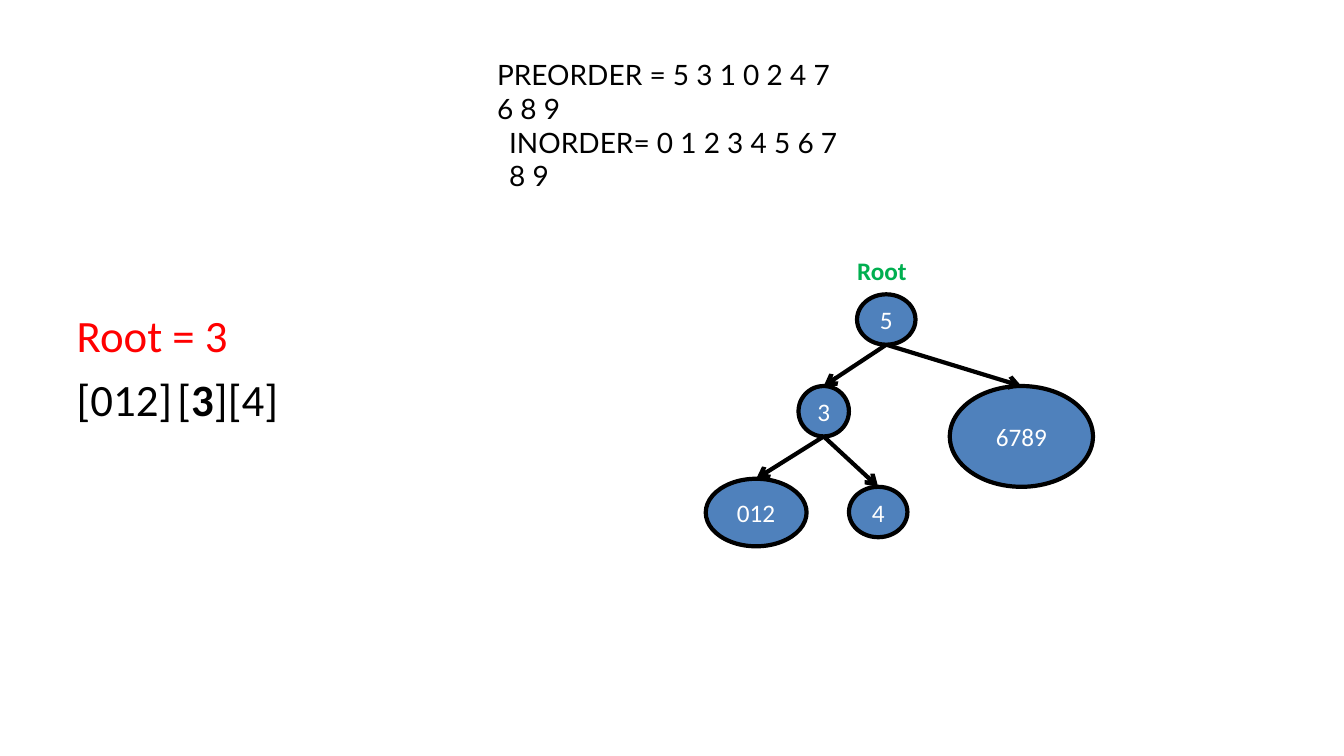
from lxml.etree import SubElement
from pptx import Presentation
from pptx.dml.color import RGBColor
from pptx.enum.shapes import MSO_CONNECTOR, MSO_SHAPE
from pptx.enum.text import MSO_ANCHOR, MSO_AUTO_SIZE, PP_ALIGN
from pptx.oxml.ns import qn
from pptx.util import Inches, Pt

BLACK = RGBColor(0x00, 0x00, 0x00)
WHITE = RGBColor(0xFF, 0xFF, 0xFF)
RED = RGBColor(0xFF, 0x00, 0x00)
GREEN = RGBColor(0x00, 0xAF, 0x50)
BLUE = RGBColor(0x4F, 0x81, 0xBC)


def set_frame(frame, wrap, anchor, top=0, right=0):
    frame.auto_size = MSO_AUTO_SIZE.NONE
    frame.word_wrap = wrap
    frame.vertical_anchor = anchor
    frame.margin_left = frame.margin_bottom = 0
    frame.margin_top = Inches(top)
    frame.margin_right = Inches(right)


def style(para, size, color, font="Calibri", bold=False, align=PP_ALIGN.LEFT):
    para.alignment = align
    para.line_spacing = 1.0
    para.font.name = font
    para.font.size = Pt(size)
    para.font.bold = bold
    para.font.color.rgb = color


deck = Presentation()
deck.slide_width = Inches(13.33)
deck.slide_height = Inches(7.5)
page = deck.slides.add_slide(deck.slide_layouts[1])

title = page.shapes.title
title.left, title.top = Inches(4.92), Inches(0.89)
title.width, title.height = Inches(3.5), Inches(0.69)
set_frame(title.text_frame, True, MSO_ANCHOR.MIDDLE, 0.01, 0.05)
title.text_frame.text = "PREORDER = 5 3 1 0 2 4 7 6 8 9\nINORDER= 0 1 2 3 4 5 6 7 8 9"
for para, indent in zip(title.text_frame.paragraphs, (0.01, 0.13)):
    para._p.get_or_add_pPr().set("marL", str(Inches(indent)))
    style(para, 20, BLACK, "Lato")

body = page.placeholders[1]
body.left, body.top = Inches(0.75), Inches(2.93)
body.width, body.height = Inches(2.37), Inches(1.31)
set_frame(body.text_frame, True, MSO_ANCHOR.TOP, 0.12)
body.text_frame.text = "Root = 3"
root_line = body.text_frame.paragraphs[0]
split_line = body.text_frame.add_paragraph()
for text, bold in (("[012]\t[", False), ("3", True), ("]\t[4]", False)):
    span = split_line.add_run()
    span.text = text
    span.font.bold = bold
for para, color, before, tabs in (
    (root_line, RED, 0, ()),
    (split_line, BLACK, 7.7, (1.16, 1.86)),
):
    properties = para._p.get_or_add_pPr()
    properties.set("marL", str(Inches(0.01)))
    properties.set("indent", "0")
    SubElement(properties, qn("a:buNone"))
    if tabs:
        tab_list = SubElement(properties, qn("a:tabLst"))
        for tab in tabs:
            SubElement(tab_list, qn("a:tab"), pos=str(Inches(tab)), algn="l")
    style(para, 32, color)
    para.space_before = Pt(before)

root_label = page.shapes.add_textbox(Inches(8.5), Inches(2.52), Inches(0.52), Inches(0.33))
set_frame(root_label.text_frame, False, MSO_ANCHOR.TOP, 0.01)
root_label.text_frame.text = "Root"
style(root_label.text_frame.paragraphs[0], 18, GREEN, bold=True)

nodes = {}
for label, center, top, width, height in (
    ("5", 8.79, 2.92, 0.58, 0.5),
    ("3", 8.17, 3.83, 0.5, 0.5),
    ("6789", 10.13, 3.83, 1.42, 1),
    ("012", 7.5, 4.75, 1, 0.67),
    ("4", 8.71, 4.83, 0.58, 0.5),
):
    node = page.shapes.add_shape(
        MSO_SHAPE.OVAL, Inches(center - width / 2), Inches(top), Inches(width), Inches(height)
    )
    node.shadow.inherit = False
    node.fill.solid()
    node.fill.fore_color.rgb = BLUE
    node.line.color.rgb = BLACK
    node.line.width = Pt(3)
    set_frame(node.text_frame, False, MSO_ANCHOR.MIDDLE)
    node.text_frame.text = label
    style(node.text_frame.paragraphs[0], 18, WHITE, align=PP_ALIGN.CENTER)
    nodes[label] = node

for parent, child in (("5", "3"), ("5", "6789"), ("3", "012"), ("3", "4")):
    start, end = nodes[parent], nodes[child]
    arrow = page.shapes.add_connector(
        MSO_CONNECTOR.STRAIGHT,
        start.left + start.width // 2,
        start.top + start.height,
        end.left + end.width // 2,
        end.top,
    )
    arrow.line.color.rgb = BLACK
    arrow.line.width = Pt(3)
    SubElement(arrow.line._get_or_add_ln(), qn("a:tailEnd"), type="arrow")
    SubElement(arrow._element.spPr, qn("a:effectLst"))

deck.save("out.pptx")
